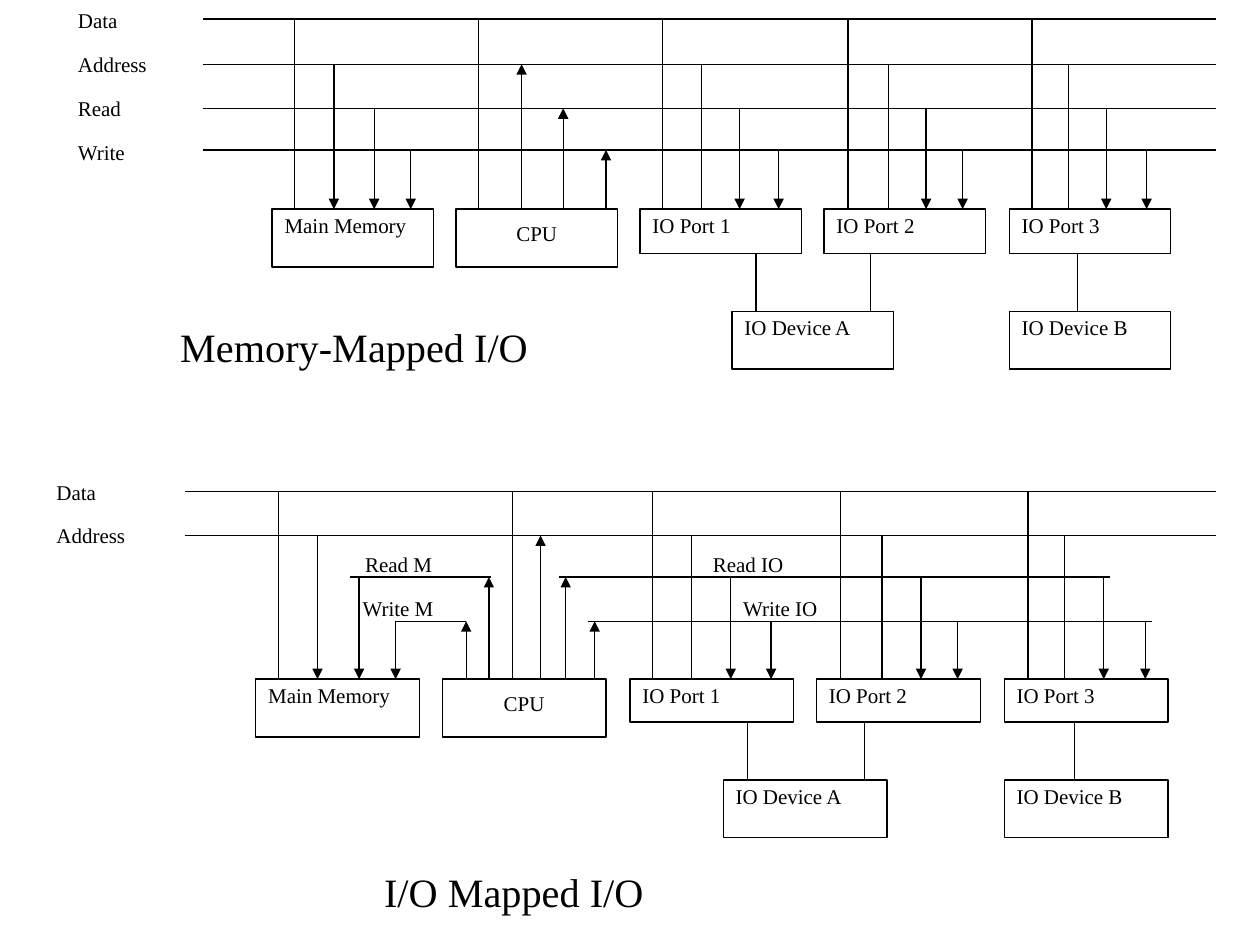
from dataclasses import dataclass

import lxml.etree
import pptx
import pptx.dml.color
import pptx.enum.shapes
import pptx.enum.text
import pptx.oxml.ns
import pptx.slide
import pptx.text.text
import pptx.util

PX = 9144  # EMU in one px, 100 px to the inch
BLACK = pptx.dml.color.RGBColor(0x00, 0x00, 0x00)
WHITE = pptx.dml.color.RGBColor(0xFF, 0xFF, 0xFF)
FONT = "Times New Roman"
BODY_SIZE = 12
HEADING_SIZE = 23
LEFT = pptx.enum.text.PP_ALIGN.LEFT
CENTER = pptx.enum.text.PP_ALIGN.CENTER
UNITS = ["Main Memory", "CPU", "IO Port 1", "IO Port 2", "IO Port 3"]


@dataclass(frozen=True)
class Label:
    text: str
    left: int
    top: int


@dataclass(frozen=True)
class Bus:
    """A horizontal signal line and the x positions of its taps, by direction."""
    label: Label
    y: int
    start: int
    end: int
    plain: tuple[int, ...] = ()
    from_bus: tuple[int, ...] = ()
    to_bus: tuple[int, ...] = ()


@dataclass(frozen=True)
class Diagram:
    first_left: int
    last_left: int
    box_width: int
    unit_top: int
    port_height: int
    device_top: int
    device_a_left: int
    device_links: tuple[int, ...]
    buses: tuple[Bus, ...]


TALL_HEIGHT = 46
MEMORY_MAPPED = Diagram(
    first_left=216, last_left=801, box_width=128, unit_top=166, port_height=35,
    device_top=247, device_a_left=581, device_links=(600, 691, 855),
    buses=(
        Bus(Label("Data", 52, 3), 15, 161, 965, plain=(234, 380, 526, 673, 819)),
        Bus(Label("Address", 52, 38), 51, 161, 965, plain=(557, 705, 848),
            from_bus=(265,), to_bus=(414,)),
        Bus(Label("Read", 52, 73), 86, 161, 965,
            from_bus=(297, 587, 735, 878), to_bus=(447,)),
        Bus(Label("Write", 52, 108), 119, 161, 965,
            from_bus=(326, 618, 764, 910), to_bus=(481,)),
    ),
)
IO_MAPPED = Diagram(
    first_left=203, last_left=797, box_width=130, unit_top=539, port_height=34,
    device_top=619, device_a_left=574, device_links=(593, 686, 853),
    buses=(
        Bus(Label("Data", 35, 378), 390, 147, 965, plain=(221, 407, 518, 667, 816)),
        Bus(Label("Address", 35, 412), 425, 147, 965, plain=(549, 700, 845),
            from_bus=(252,), to_bus=(429,)),
        Bus(Label("Read M", 280, 435), 458, 278, 390, from_bus=(285,), to_bus=(388,)),
        Bus(Label("Write M", 278, 470), 493, 314, 370, from_bus=(314,), to_bus=(370,)),
        Bus(Label("Read IO", 556, 435), 458, 444, 881,
            from_bus=(580, 731, 876), to_bus=(449,)),
        Bus(Label("Write IO", 580, 470), 493, 467, 914,
            from_bus=(612, 760, 909), to_bus=(472,)),
    ),
)


def set_text(frame: pptx.text.text.TextFrame, text: str, size: int = BODY_SIZE,
             alignment: pptx.enum.text.PP_ALIGN = LEFT, inset_top: int = 5,
             spacing: float = 0.9) -> None:
    frame.text = text
    frame.word_wrap = True
    frame.auto_size = pptx.enum.text.MSO_AUTO_SIZE.NONE
    frame.vertical_anchor = pptx.enum.text.MSO_ANCHOR.TOP
    frame.margin_left = frame.margin_right = 10 * PX
    frame.margin_top, frame.margin_bottom = inset_top * PX, 5 * PX
    para = frame.paragraphs[0]
    para.alignment, para.line_spacing = alignment, spacing
    font = para.runs[0].font
    font.name, font.size = FONT, pptx.util.Pt(size)
    font.color.rgb = BLACK


def add_label(slide: pptx.slide.Slide, label: Label, width: int, height: int,
              size: int = BODY_SIZE) -> None:
    box = slide.shapes.add_textbox(label.left * PX, label.top * PX,
                                   width * PX, height * PX)
    set_text(box.text_frame, label.text, size)


def add_box(slide: pptx.slide.Slide, label: Label, width: int, height: int) -> None:
    box = slide.shapes.add_shape(
        pptx.enum.shapes.MSO_SHAPE.RECTANGLE,
        label.left * PX, label.top * PX, width * PX, height * PX)
    box.shadow.inherit = False
    box.fill.solid()
    box.fill.fore_color.rgb = WHITE
    box.line.color.rgb = BLACK
    box.line.width = pptx.util.Pt(0.75)
    if label.text == "CPU":
        set_text(box.text_frame, label.text, alignment=CENTER, inset_top=11)
    else:
        set_text(box.text_frame, label.text)


def add_line(slide: pptx.slide.Slide, start: tuple[int, int], end: tuple[int, int],
             arrow: str = "") -> None:
    """Draw a straight line; arrow is "", "a:headEnd" (start) or "a:tailEnd" (end)."""
    line = slide.shapes.add_connector(
        pptx.enum.shapes.MSO_CONNECTOR.STRAIGHT,
        start[0] * PX, start[1] * PX, end[0] * PX, end[1] * PX)
    line.line.color.rgb = BLACK
    line.line.width = pptx.util.Pt(0.75)
    properties = line._element.find(pptx.oxml.ns.qn("p:spPr"))
    if arrow:
        outline = properties.find(pptx.oxml.ns.qn("a:ln"))
        lxml.etree.SubElement(outline, pptx.oxml.ns.qn(arrow), type="triangle")
    lxml.etree.SubElement(properties, pptx.oxml.ns.qn("a:effectLst"))


def add_bus(slide: pptx.slide.Slide, bus: Bus, unit_top: int) -> None:
    add_line(slide, (bus.start, bus.y), (bus.end, bus.y))
    for taps, arrow in ((bus.plain, ""), (bus.from_bus, "a:tailEnd"),
                        (bus.to_bus, "a:headEnd")):
        for x in taps:
            add_line(slide, (x, bus.y), (x, unit_top), arrow)


def add_diagram(slide: pptx.slide.Slide, diagram: Diagram) -> None:
    width = diagram.box_width
    span = diagram.last_left - diagram.first_left
    for index, name in enumerate(UNITS):
        left = diagram.first_left + span * index // (len(UNITS) - 1)
        height = diagram.port_height if name.startswith("IO") else TALL_HEIGHT
        add_box(slide, Label(name, left, diagram.unit_top), width, height)
    for name, left in (("IO Device A", diagram.device_a_left),
                       ("IO Device B", diagram.last_left)):
        add_box(slide, Label(name, left, diagram.device_top), width, TALL_HEIGHT)
    for bus in diagram.buses:
        add_label(slide, bus.label, width, diagram.port_height)
        add_bus(slide, bus, diagram.unit_top)
    port_bottom = diagram.unit_top + diagram.port_height
    for x in diagram.device_links:
        add_line(slide, (x, port_bottom), (x, diagram.device_top))


def main() -> None:
    deck = pptx.Presentation()
    deck.slide_width, deck.slide_height = 1000 * PX, 750 * PX
    slide = deck.slides.add_slide(deck.slide_layouts.get_by_name("Title Only"))
    title = slide.shapes.title
    title.left, title.top = 133 * PX, 258 * PX
    title.width, title.height = 358 * PX, 42 * PX
    set_text(title.text_frame, "Memory-Mapped I/O", HEADING_SIZE, spacing=0.8)
    add_diagram(slide, MEMORY_MAPPED)
    add_diagram(slide, IO_MAPPED)
    add_label(slide, Label("I/O Mapped I/O", 295, 688), 372, 46, HEADING_SIZE)
    deck.save("out.pptx")


if __name__ == "__main__":
    main()
